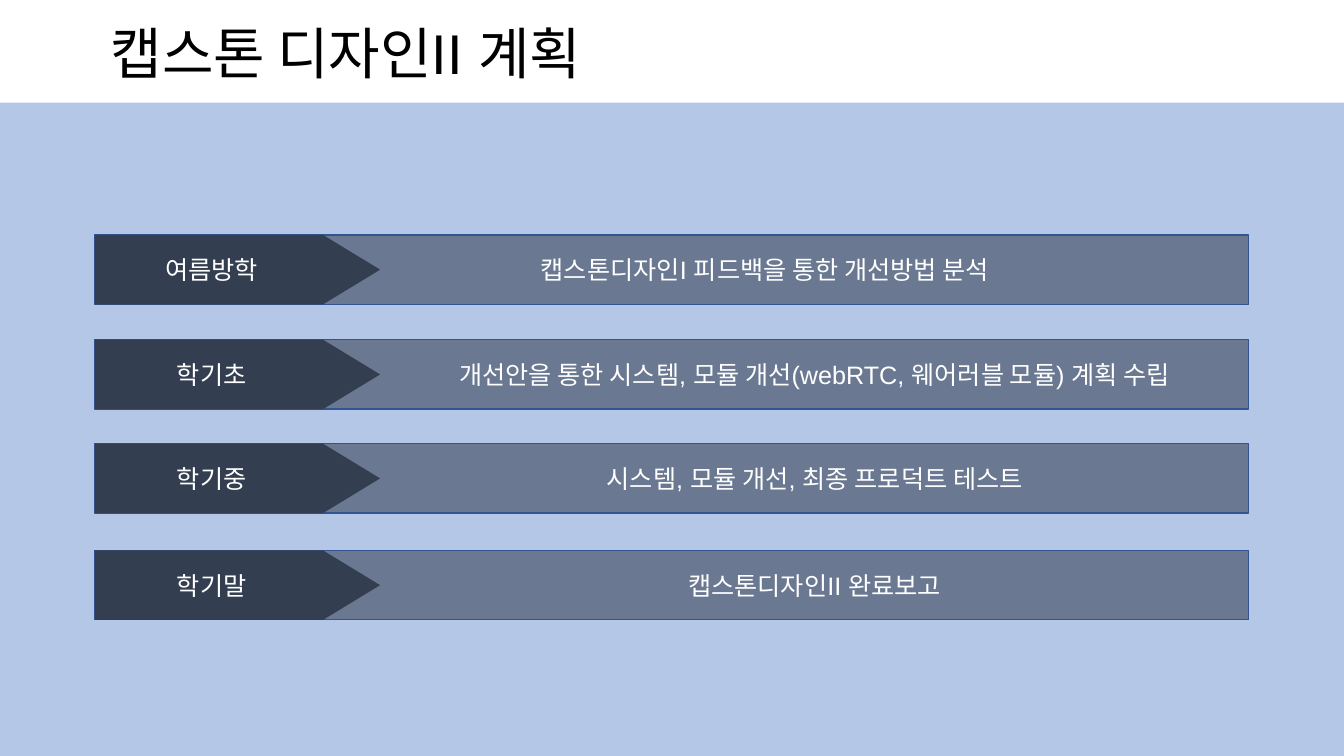
from dataclasses import dataclass

from lxml.etree import SubElement
from pptx import Presentation
from pptx.dml.color import RGBColor
from pptx.enum.shapes import MSO_SHAPE
from pptx.enum.text import PP_ALIGN
from pptx.oxml.ns import qn
from pptx.util import Cm, Pt


@dataclass(frozen=True)
class Theme:
    font: str = "Arial"
    title_size: int = 40
    body_size: int = 18
    title_color: str = "000000"
    text_color: str = "FFFFFF"
    panel: str = "B4C7E7"
    dark: str = "333F50"
    outline: str = "325491"
    bar_opacity: int = 57


THEME = Theme()

SLIDE_W, SLIDE_H = 33.87, 19.05
PANEL_TOP = 2.59
BAR_LEFT, BAR_W, BAR_H = 2.39, 29.08, 1.75
ARROW_LENGTH = 7.19
TEXT_H = 1.02
LABEL_LEFT, LABEL_W = 3.28, 4.11
TASK_LEFT = 10.46

# top of the bar, period, task, width of the task text
PLAN = [
    (5.92, "여름방학", "캡스톤디자인I 피드백을 통한 개선방법 분석", 17.63),
    (8.56, "학기초", "개선안을 통한 시스템, 모듈 개선(webRTC, 웨어러블 모듈) 계획 수립", 20.14),
    (11.18, "학기중", "시스템, 모듈 개선, 최종 프로덕트 테스트", 20.14),
    (13.87, "학기말", "캡스톤디자인II 완료보고", 20.14),
]


def add_block(slide, kind, left, top, width, height, fill):
    sp = slide.shapes.add_shape(kind, Cm(left), Cm(top), Cm(width), Cm(height))
    sp.shadow.inherit = False
    sp.fill.solid()
    sp.fill.fore_color.rgb = RGBColor.from_string(fill)
    sp.line.fill.background()
    return sp


def set_opacity(sp, percent):
    color = sp.fill._xPr.find(qn("a:solidFill"))[0]
    SubElement(color, qn("a:alpha")).set("val", str(percent * 1000))


def add_text(slide, text, left, top, width, height, size, color, align):
    sp = slide.shapes.add_textbox(Cm(left), Cm(top), Cm(width), Cm(height))
    tf = sp.text_frame
    tf.word_wrap = True
    p = tf.paragraphs[0]
    p.alignment = align
    r = p.add_run()
    r.text = text
    r.font.name = THEME.font
    r.font.size = Pt(size)
    r.font.color.rgb = RGBColor.from_string(color)
    return sp


def add_bar(slide, top):
    sp = add_block(slide, MSO_SHAPE.RECTANGLE, BAR_LEFT, top, BAR_W, BAR_H, THEME.dark)
    set_opacity(sp, THEME.bar_opacity)
    sp.line.color.rgb = RGBColor.from_string(THEME.outline)
    sp.line.width = Pt(1)


def add_arrow(slide, top):
    """Turn a downward pentagon to point right, flush with the bar's left end."""
    shift = (ARROW_LENGTH - BAR_H) / 2
    sp = add_block(slide, MSO_SHAPE.FLOWCHART_OFFPAGE_CONNECTOR,
                   BAR_LEFT + shift, top - shift, BAR_H, ARROW_LENGTH, THEME.dark)
    sp.rotation = 270


def add_plan_row(slide, top, period, task, task_width):
    add_bar(slide, top)
    add_arrow(slide, top)
    text_top = top + (BAR_H - TEXT_H) / 2
    for text, left, width in ((period, LABEL_LEFT, LABEL_W), (task, TASK_LEFT, task_width)):
        add_text(slide, text, left, text_top, width, TEXT_H,
                 THEME.body_size, THEME.text_color, PP_ALIGN.CENTER)


def main():
    prs = Presentation()
    prs.slide_width, prs.slide_height = Cm(SLIDE_W), Cm(SLIDE_H)
    slide = prs.slides.add_slide(prs.slide_layouts[6])

    add_block(slide, MSO_SHAPE.RECTANGLE, 0, PANEL_TOP, SLIDE_W, SLIDE_H - PANEL_TOP, THEME.panel)
    title = add_text(slide, "캡스톤 디자인II 계획", 0, 0.33, SLIDE_W, 1.96,
                     THEME.title_size, THEME.title_color, PP_ALIGN.LEFT)
    title.text_frame.margin_left = Cm(2.79)
    for row in PLAN:
        add_plan_row(slide, *row)

    prs.save("out.pptx")


if __name__ == "__main__":
    main()
